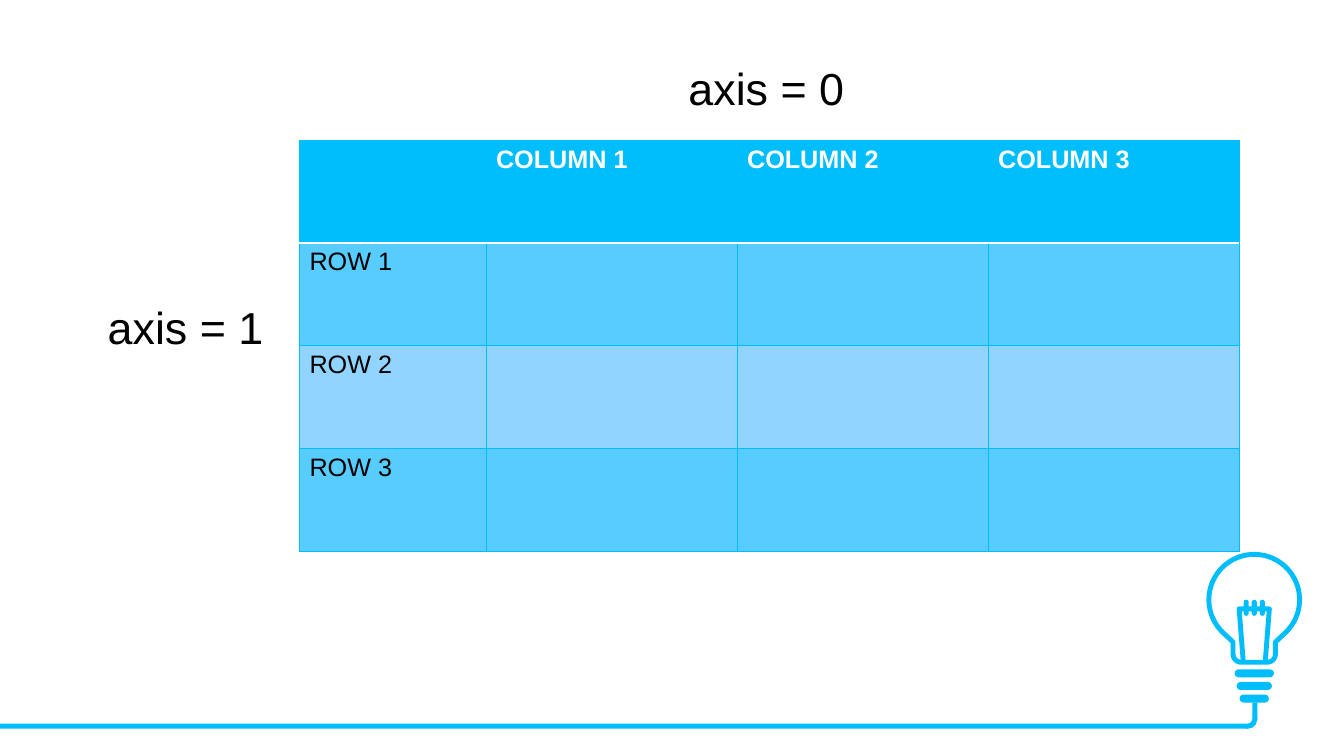
import math

import lxml.etree
import pptx
import pptx.dml.color
import pptx.enum.shapes
import pptx.oxml.ns
import pptx.util

Inches = pptx.util.Inches
Pt = pptx.util.Pt
SHAPES = pptx.enum.shapes.MSO_SHAPE

COLORS = {
    "accent": "00BDFB",
    "odd_row": "56CCFF",
    "even_row": "91D4FF",
    "white": "FFFFFF",
    "black": "000000",
}
FONT = "Arial"
STROKE = 3.5


def rgb(name):
    return pptx.dml.color.RGBColor.from_string(COLORS[name])


def write_text(frame, text, size=18, color="black", bold=False):
    run = frame.paragraphs[0].add_run()
    run.text = text
    run.font.name = FONT
    run.font.size = Pt(size)
    run.font.bold = bold
    run.font.color.rgb = rgb(color)


def add_label(slide, text, left, top, width, height):
    label = slide.shapes.add_textbox(*map(Inches, (left, top, width, height)))
    label.text_frame.word_wrap = True
    write_text(label.text_frame, text, size=32)


def add_solid(slide, kind, left, top, width, height):
    solid = slide.shapes.add_shape(kind, *map(Inches, (left, top, width, height)))
    solid.shadow.inherit = False
    solid.fill.solid()
    solid.fill.fore_color.rgb = rgb("accent")
    solid.line.fill.background()
    return solid


def add_outline(slide, points, close, fill=None):
    points = [(Inches(x), Inches(y)) for x, y in points]
    builder = slide.shapes.build_freeform(*points[0])
    builder.add_line_segments(points[1:], close=close)
    outline = builder.convert_to_shape()
    outline.shadow.inherit = False
    if fill:
        outline.fill.solid()
        outline.fill.fore_color.rgb = rgb(fill)
    else:
        outline.fill.background()
    outline.line.color.rgb = rgb("accent")
    outline.line.width = Pt(STROKE)


def arc(x, y, radius, start, end, steps):
    angles = [math.radians(start + (end - start) * i / steps) for i in range(steps + 1)]
    return [(x + radius * math.cos(a), y + radius * math.sin(a)) for a in angles]


def add_bulb(slide, left, top, width):
    """Light bulb with its filament and screw base."""
    radius = width / 2
    center = left + radius
    # Glass: round top, then a neck with rounded corners
    neck, corner = 0.21, 0.08
    glass = arc(center, top + radius, radius, 135, 405, 60)
    glass.append((center + neck, top + 0.87))
    glass += arc(center + neck - corner, top + 0.99, corner, 0, 90, 8)
    glass += arc(center - neck + corner, top + 0.99, corner, 90, 180, 8)
    glass.append((center - neck, top + 0.87))
    add_outline(slide, glass, close=True, fill="white")
    # Screw base
    for i, bar in enumerate((0.39, 0.35, 0.29)):
        ring = add_solid(slide, SHAPES.ROUNDED_RECTANGLE,
                         center - bar / 2, top + 1.14 + i * 0.125, bar, 0.08)
        ring.adjustments[0] = 0.5
    # Filament
    filament = [(-0.11, 1.05), (-0.15, 0.54), (0.15, 0.54), (0.11, 1.05)]
    add_outline(slide, [(center + x, top + y) for x, y in filament], close=False)
    for offset in (-0.08, 0, 0.08):
        coil = add_solid(slide, SHAPES.ROUNDED_RECTANGLE,
                         center + offset - 0.025, top + 0.45, 0.05, 0.16)
        coil.adjustments[0] = 0.5


def add_cord(slide, right, top, bottom):
    """Cord along the slide foot, turning up into the bulb."""
    thick, bend = 0.05, 0.19
    add_solid(slide, SHAPES.RECTANGLE, 0, bottom - thick, right - 0.1, thick)
    add_solid(slide, SHAPES.RECTANGLE, right - thick, top, thick, 0.17)
    turn = add_solid(slide, SHAPES.BLOCK_ARC, right - bend, bottom - bend, bend, bend)
    for i, value in enumerate((213.39, 60.92, 0.27)):
        turn.adjustments[i] = value


def set_borders(cell, **sides):
    """Cell borders, each side given as (colour, points)."""
    properties = cell._tc.get_or_add_tcPr()
    for i, side in enumerate("LRTB"):
        color, points = sides.get(side, ("accent", 0.5))
        line = lxml.etree.Element(pptx.oxml.ns.qn("a:ln" + side), w=str(Pt(points)))
        fill = lxml.etree.SubElement(line, pptx.oxml.ns.qn("a:solidFill"))
        lxml.etree.SubElement(fill, pptx.oxml.ns.qn("a:srgbClr"), val=COLORS[color])
        properties.insert(i, line)


def add_axis_table(slide, left, top, widths, row_height, rows):
    box = (left, top, sum(widths), row_height * len(rows))
    grid = slide.shapes.add_table(len(rows), len(widths), *map(Inches, box)).table
    for column, width in zip(grid.columns, widths):
        column.width = Inches(width)
    divider = ("white", 1)
    for r, row in enumerate(rows):
        grid.rows[r].height = Inches(row_height)
        fill = "accent" if r == 0 else "odd_row" if r % 2 else "even_row"
        for c, text in enumerate(row):
            cell = grid.cell(r, c)
            cell.fill.solid()
            cell.fill.fore_color.rgb = rgb(fill)
            set_borders(cell, **{0: {"B": divider}, 1: {"T": divider}}.get(r, {}))
            if text:
                write_text(cell.text_frame, text, bold=r == 0,
                           color="white" if r == 0 else "black")


def main():
    deck = pptx.Presentation()
    deck.slide_width, deck.slide_height = Inches(13.33), Inches(7.5)
    slide = deck.slides.add_slide(deck.slide_layouts[6])

    add_bulb(slide, left=11.99, top=5.5, width=0.9)
    add_cord(slide, right=12.47, top=6.97, bottom=7.23)

    rows = [[""] + [f"COLUMN {n}" for n in range(1, 4)]]
    rows += [[f"ROW {n}", "", "", ""] for n in range(1, 4)]
    add_axis_table(slide, 2.97, 1.39, [1.85, 2.49, 2.49, 2.49], 1.02, rows)

    add_label(slide, "axis = 1", 0.97, 2.92, 2, 0.64)
    add_label(slide, "axis = 0", 6.73, 0.55, 2, 0.64)
    deck.save("out.pptx")


if __name__ == "__main__":
    main()
